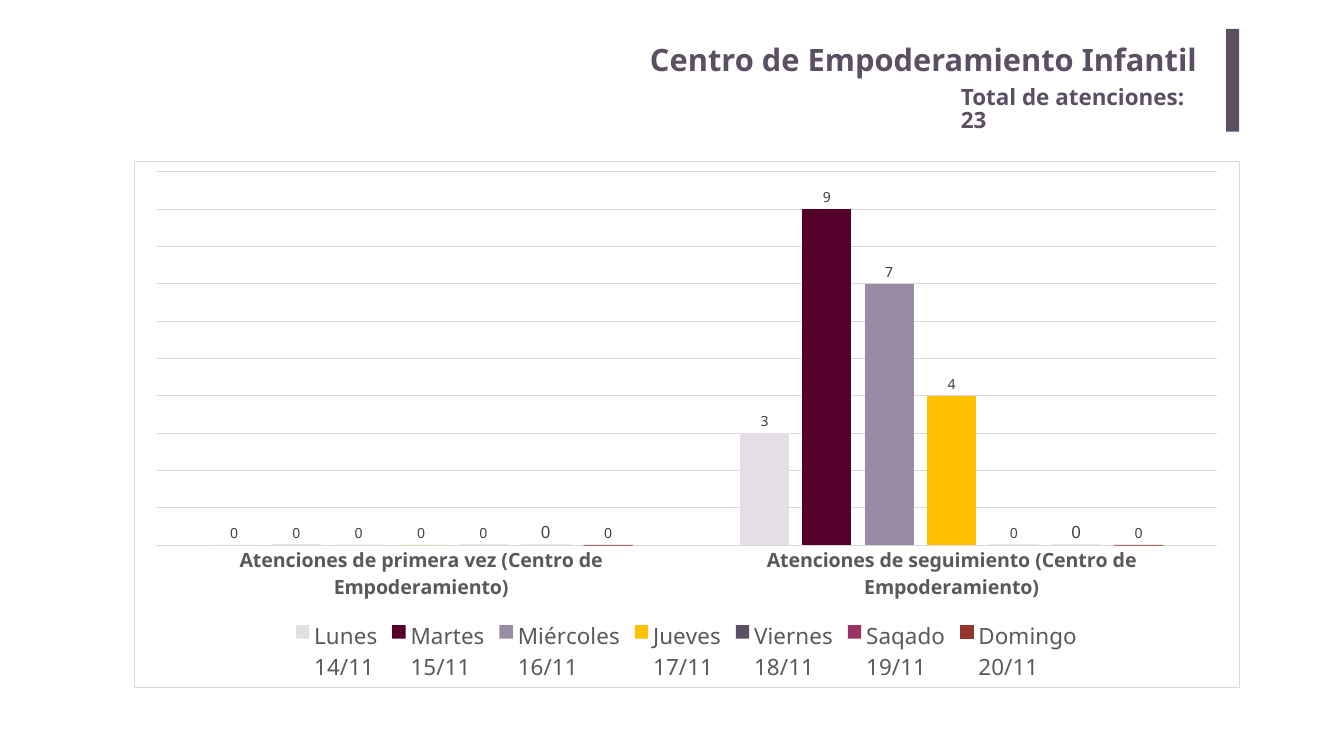
from lxml import etree
from pptx import Presentation
from pptx.chart.data import CategoryChartData
from pptx.dml.color import RGBColor
from pptx.enum.chart import XL_CHART_TYPE, XL_LABEL_POSITION, XL_LEGEND_POSITION, XL_TICK_MARK
from pptx.enum.shapes import MSO_SHAPE
from pptx.enum.text import MSO_ANCHOR, MSO_AUTO_SIZE, PP_ALIGN
from pptx.oxml import parse_xml
from pptx.oxml.ns import nsdecls, qn
from pptx.util import Cm, Pt

FONT = "Noto Sans"
PURPLE, GREY, LABEL_GREY, PALE = "5B4F63", "595959", "404040", "D9D9D9"
CATEGORIES = [
    "Atenciones de primera vez (Centro de Empoderamiento)",
    "Atenciones de seguimiento (Centro de Empoderamiento)",
]
# Day, values, colour, label size
DAYS = [
    ("Lunes\n14/11", (0, 3), "E3DFE5", 20),
    ("Martes\n15/11", (0, 9), "54002A", 20),
    ("Miércoles\n16/11", (0, 7), "998BA3", 20),
    ("Jueves\n17/11", (0, 4), "FFC000", 20),
    ("Viernes\n18/11", (0, 0), "5B4F63", 20),
    ("Saqado\n19/11", (0, 0), "993366", 24),
    ("Domingo\n20/11", (0, 0), "95372B", 20),
]


def colour(value):
    """Turn a hex string into a colour."""
    return RGBColor.from_string(value)


def style_font(font, size, value, bold=False):
    """Set the typeface, size, colour and weight of a font."""
    font.name, font.size, font.bold = FONT, Pt(size), bold
    font.color.rgb = colour(value)


def style_line(line, value):
    """Give a line its colour and the thin width."""
    line.color.rgb = colour(value)
    line.width = Pt(0.75)


def write_heading(box, text, size, align):
    """Write one bold purple paragraph in a box."""
    frame = box.text_frame
    frame.word_wrap = True
    frame.text = text
    para = frame.paragraphs[0]
    para.alignment = align
    style_font(para.runs[0].font, size, PURPLE, True)
    return frame


def add_title(page, text):
    """Place and format the title placeholder."""
    title = page.shapes.title
    title.left, title.top, title.width, title.height = Cm(9.3), Cm(1.7), Cm(51.56), Cm(2.59)
    frame = write_heading(title, text, 44, PP_ALIGN.RIGHT)
    frame.auto_size = MSO_AUTO_SIZE.NONE
    frame.vertical_anchor = MSO_ANCHOR.MIDDLE
    frame.margin_left = frame.margin_right = Cm(0.51)
    frame.margin_top = frame.margin_bottom = Cm(0.25)


def add_total(page, text):
    """Add the total below the title."""
    box = page.shapes.add_textbox(Cm(48.18), Cm(4.29), Cm(12.83), Cm(1.63))
    frame = write_heading(box, text, 32, PP_ALIGN.LEFT)
    frame.auto_size = MSO_AUTO_SIZE.SHAPE_TO_FIT_TEXT
    frame.paragraphs[0].line_spacing = 0.85


def add_accent(page):
    """Add the vertical bar beside the title."""
    bar = page.shapes.add_shape(MSO_SHAPE.RECTANGLE, Cm(61.8), Cm(1.45), Cm(0.66), Cm(5.18))
    bar.shadow.inherit = False
    bar.fill.solid()
    bar.fill.fore_color.rgb = colour(PURPLE)
    bar.line.fill.background()


def frame_chart(chart):
    """Give the chart area a white fill and a thin border."""
    area = parse_xml(
        f'<c:spPr {nsdecls("c", "a")}><a:solidFill><a:srgbClr val="FFFFFF"/></a:solidFill>'
        f'<a:ln w="9525"><a:solidFill><a:srgbClr val="{PALE}"/></a:solidFill></a:ln></c:spPr>'
    )
    chart.element.find(qn("c:chart")).addnext(area)


def place_plot(chart, **fractions):
    """Fix the inner plot area as fractions of the chart."""
    plot_area = chart.element.find(qn("c:chart")).find(qn("c:plotArea"))
    for old in plot_area.findall(qn("c:layout")):
        plot_area.remove(old)
    layout = etree.Element(qn("c:layout"))
    manual = etree.SubElement(layout, qn("c:manualLayout"))
    settings = {"layoutTarget": "inner", "xMode": "edge", "yMode": "edge", **fractions}
    for name, value in settings.items():
        etree.SubElement(manual, qn(f"c:{name}")).set("val", str(value))
    plot_area.insert(0, layout)


def style_axes(chart):
    """Format the category axis and hide the value axis behind its grid."""
    days = chart.category_axis
    days.major_tick_mark = days.minor_tick_mark = XL_TICK_MARK.NONE
    style_font(days.tick_labels.font, 28, GREY, True)
    style_line(days.format.line, PALE)
    counts = chart.value_axis
    counts.visible = False
    counts.minimum_scale, counts.maximum_scale, counts.major_unit = 0, 10, 1
    counts.has_major_gridlines = True
    style_line(counts.major_gridlines.format.line, PALE)


def style_series(series, fill, label_size):
    """Colour a series and show its values above the columns."""
    series.format.fill.solid()
    series.format.fill.fore_color.rgb = colour(fill)
    series.invert_if_negative = False
    labels = series.data_labels
    labels.show_value = True
    labels.position = XL_LABEL_POSITION.OUTSIDE_END
    style_font(labels.font, label_size, LABEL_GREY)


def add_attention_chart(page):
    """Add the column chart of daily attentions."""
    data = CategoryChartData()
    data.categories = CATEGORIES
    for name, values, _, _ in DAYS:
        data.add_series(name, values)
    chart = page.shapes.add_chart(
        XL_CHART_TYPE.COLUMN_CLUSTERED, Cm(6.73), Cm(8.1), Cm(55.73), Cm(26.54), data
    ).chart
    chart.has_title = False
    style_font(chart.font, 10, "000000")
    frame_chart(chart)
    place_plot(chart, x=0.02, y=0.02, w=0.96, h=0.71)
    style_axes(chart)
    plot = chart.plots[0]
    plot.vary_by_categories = False
    plot.gap_width, plot.overlap = 219, -27
    for series, (_, _, fill, label_size) in zip(plot.series, DAYS):
        style_series(series, fill, label_size)
    style_line(plot.series[-1].format.line, DAYS[-1][2])
    chart.has_legend = True
    chart.legend.position = XL_LEGEND_POSITION.BOTTOM
    chart.legend.include_in_layout = False
    style_font(chart.legend.font, 32, GREY)


def main():
    """Build the slide and save the deck."""
    deck = Presentation()
    deck.slide_width, deck.slide_height = Cm(67.74), Cm(38.1)
    page = deck.slides.add_slide(deck.slide_layouts[5])
    add_title(page, "Centro de Empoderamiento Infantil")
    add_accent(page)
    add_total(page, "Total de atenciones: 23")
    add_attention_chart(page)
    deck.save("out.pptx")


main()
